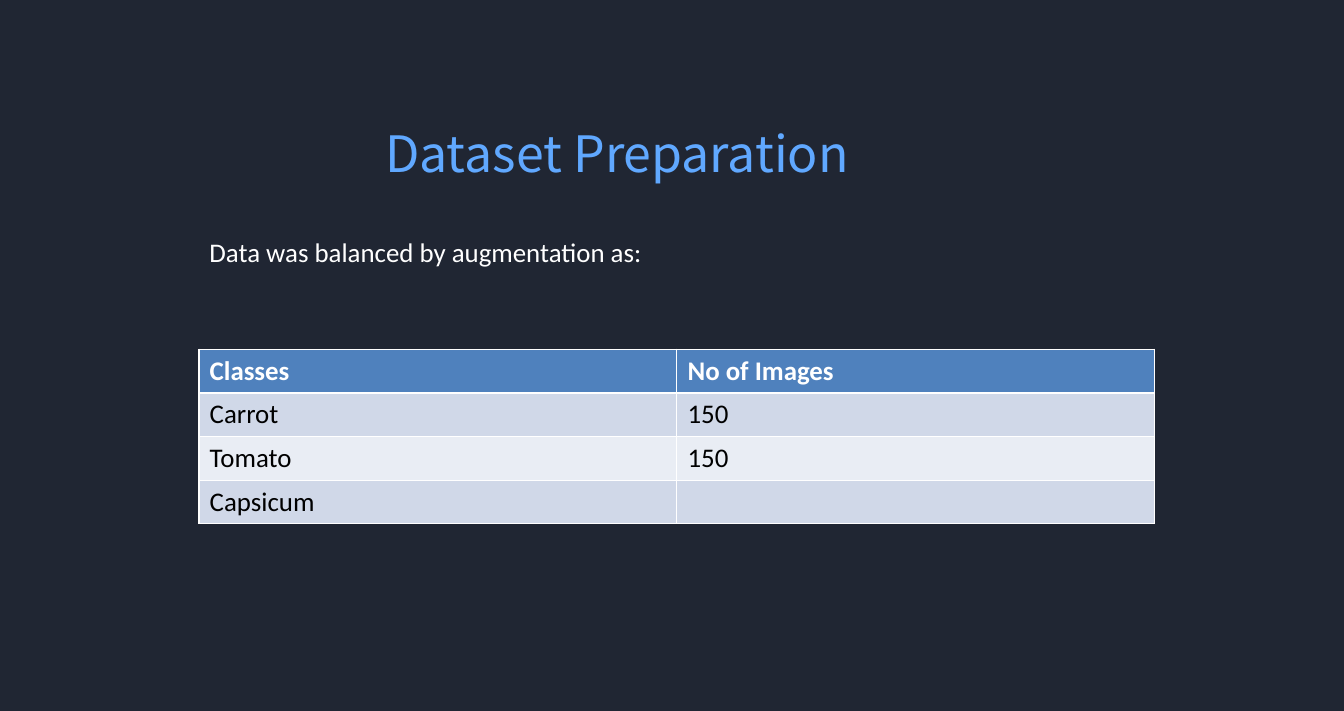
from pptx import Presentation
from pptx.dml.color import RGBColor
from pptx.enum.text import MSO_ANCHOR, MSO_AUTO_SIZE, PP_ALIGN
from pptx.util import Cm, Pt

LEFT = PP_ALIGN.LEFT
MIDDLE = MSO_ANCHOR.MIDDLE
NO_FIT = MSO_AUTO_SIZE.NONE
TITLE_ONLY = 5

COLORS = {
    "background": "202633",
    "title": "60A8FF",
    "light": "FFFFFF",
    "dark": "000000",
    "header": "4F81BD",
    "odd": "D0D8E8",
    "even": "E9EDF4",
}


def style_text(paragraph, font_name, size, color, bold=False):
    for span in paragraph.runs:
        span.font.name = font_name
        span.font.size = Pt(size)
        span.font.bold = bold
        span.font.color.rgb = RGBColor.from_string(COLORS[color])


deck = Presentation()
deck.slide_width = Cm(31.75)
deck.slide_height = Cm(16.79)
page = deck.slides.add_slide(deck.slide_layouts[TITLE_ONLY])
page.background.fill.solid()
page.background.fill.fore_color.rgb = RGBColor.from_string(COLORS["background"])

title = page.shapes.title
title.left, title.top, title.width, title.height = Cm(9.1), Cm(2.9), Cm(11.86), Cm(1.42)
frame = title.text_frame
frame.margin_left = frame.margin_top = frame.margin_right = frame.margin_bottom = 0
frame.vertical_anchor = MIDDLE
frame.auto_size = NO_FIT
frame.word_wrap = True
frame.text = "Dataset Preparation"
frame.paragraphs[0].alignment = LEFT
style_text(frame.paragraphs[0], "Noto Sans CJK SC", 33.5, "title")

intro = page.shapes.add_textbox(Cm(4.7), Cm(5.44), Cm(19.23), Cm(1.8))
intro.text_frame.word_wrap = True
intro.text_frame.text = "Data was balanced by augmentation as:"
style_text(intro.text_frame.paragraphs[0], "Calibri", 18, "light")

rows = [
    ("Classes", "No of Images"),
    ("Carrot", "150"),
    ("Tomato", "150"),
    ("Capsicum", ""),
]
table = page.shapes.add_table(
    len(rows), 2, Cm(4.7), Cm(8.25), Cm(22.58), Cm(4.12)
).table
for row_index, values in enumerate(rows):
    is_header = row_index == 0
    fill_name = "header" if is_header else "odd" if row_index % 2 else "even"
    for column_index, value in enumerate(values):
        cell = table.cell(row_index, column_index)
        cell.fill.solid()
        cell.fill.fore_color.rgb = RGBColor.from_string(COLORS[fill_name])
        cell.text = value
        style_text(
            cell.text_frame.paragraphs[0], "Calibri", 18,
            "light" if is_header else "dark", is_header,
        )

deck.save("out.pptx")
